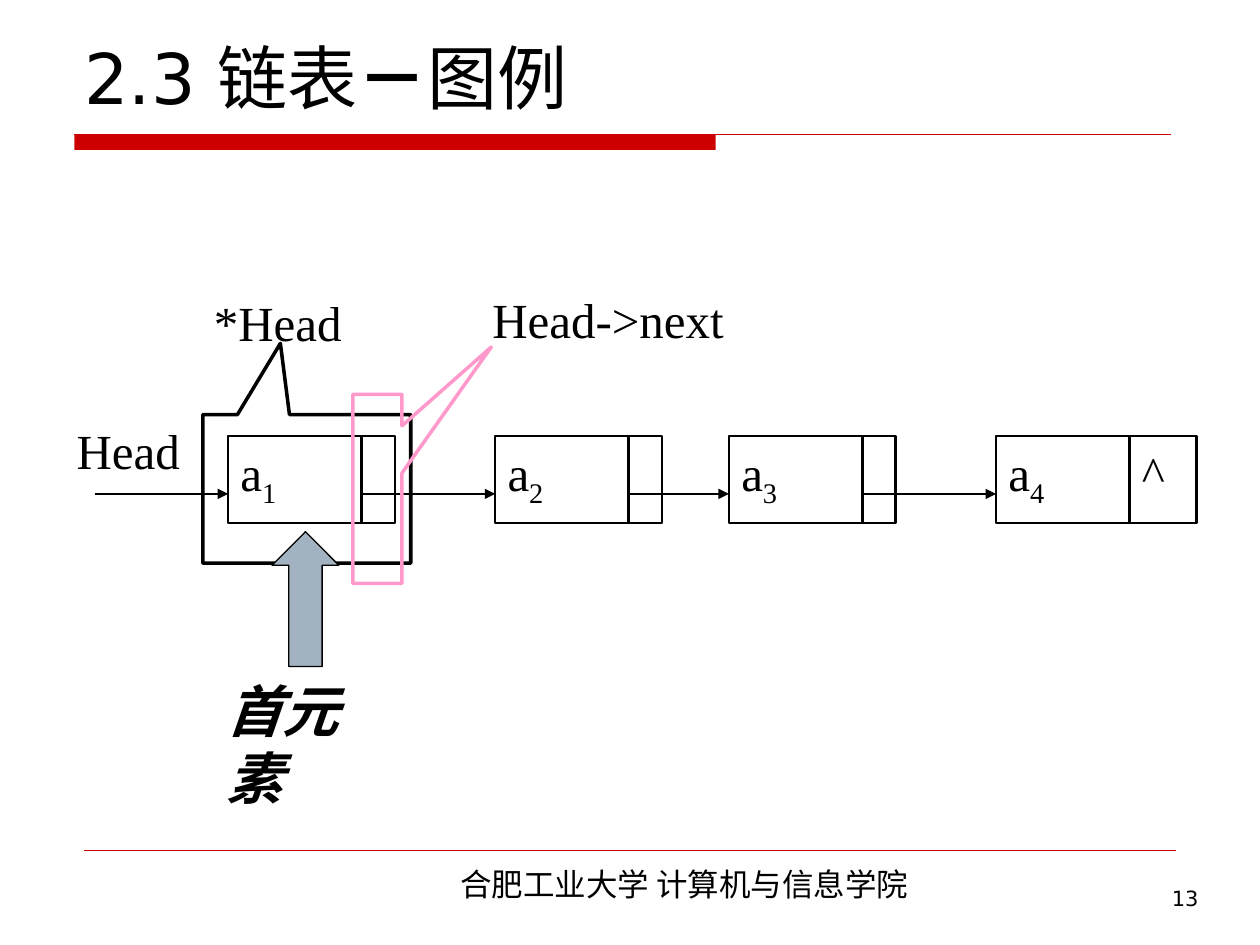
from lxml.etree import SubElement
from pptx import Presentation
from pptx.dml.color import RGBColor
from pptx.enum.shapes import MSO_CONNECTOR, MSO_SHAPE
from pptx.enum.text import MSO_ANCHOR, MSO_AUTO_SIZE, PP_ALIGN
from pptx.oxml.ns import qn
from pptx.util import Inches, Pt

THEME = dict(
    ink=RGBColor.from_string("000000"), red=RGBColor.from_string("CC0000"),
    pink=RGBColor.from_string("FF99CC"), steel=RGBColor.from_string("A3B2C1"),
    sans="DejaVu Sans", serif="Times New Roman", han="Noto Sans CJK SC",
    title=40, label=28, strong=32, foot=18, page=12)

deck = Presentation()
deck.slide_width, deck.slide_height = Inches(10), Inches(7.5)
slide = deck.slides.add_slide(deck.slide_layouts[5])
parts = slide.shapes


def write(para, text, size, face, **form):
    run = para.add_run()
    run.text = text
    base = dict(size=Pt(THEME[size]), name=THEME[face], bold=False)
    for key, value in (base | form).items():
        setattr(run.font, key, value)
    run.font.color.rgb = THEME["ink"]
    SubElement(run.font._element, qn("a:ea"), typeface=THEME["han"])
    return run


def draw(kind, box, line=None, width=1.5, fill=None, tail=False):
    """Draw a preset shape, or a straight line when kind is None."""
    box = [Inches(v) for v in box]
    if kind is None:
        item = parts.add_connector(MSO_CONNECTOR.STRAIGHT, *box)
        SubElement(item._element.spPr, qn("a:effectLst"))
    else:
        item = parts.add_shape(kind, *box)
        item.shadow.inherit = False
        if fill:
            item.fill.solid()
            item.fill.fore_color.rgb = THEME[fill]
        else:
            item.fill.background()
    if line:
        item.line.color.rgb = THEME[line]
        item.line.width = Pt(width)
    else:
        item.line.fill.background()
    if tail:
        SubElement(item.line._get_or_add_ln(), qn("a:tailEnd"), type="triangle")
    return item


# Title and red rules
head = parts.title
head.left, head.top, head.width, head.height = map(Inches, (0.57, 0.21, 9, 0.78))
frame = head.text_frame
for key, value in dict(vertical_anchor=MSO_ANCHOR.BOTTOM, word_wrap=True,
                       auto_size=MSO_AUTO_SIZE.NONE).items():
    setattr(frame, key, value)
frame.paragraphs[0].alignment = PP_ALIGN.LEFT
for text, bold in (("2.3 链表", False), ("－", True), ("图例", False)):
    write(frame.paragraphs[0], text, "title", "sans", bold=bold)
draw(MSO_SHAPE.RECTANGLE, (0.59, 1.07, 5.09, 0.12), fill="red")
draw(None, (0.59, 1.07, 9.29, 1.07), "red", 0.75)
draw(None, (0.67, 6.75, 9.33, 6.75), "red", 0.25)

# List nodes on a column grid: four columns of data, then the link field
left, top, col, tall = 1.81, 3.46, 0.265, 0.69
nodes = [(0, 5), (8, 5), (15, 5), (23, 6)]
mid = top + tall * 2 / 3
start = left - 4 * col
for num, (spot, span) in enumerate(nodes, 1):
    x = left + spot * col
    split = x + 4 * col
    node = draw(MSO_SHAPE.RECTANGLE, (x, top, span * col, tall), "ink")
    node.text_frame.vertical_anchor = MSO_ANCHOR.TOP
    para = node.text_frame.paragraphs[0]
    para.alignment = PP_ALIGN.LEFT
    last = num == len(nodes)
    if last:
        tabs = SubElement(para._p.get_or_add_pPr(), qn("a:tabLst"))
        SubElement(tabs, qn("a:tab"), pos=str(Inches(4 * col)), algn="l")
    write(para, "a", "label", "serif")
    sub = write(para, str(num), "label", "serif")
    sub.font._element.set("baseline", "-25000")
    if last:
        write(para, "\t^", "label", "serif")
    draw(None, (start, mid, x, mid), "ink", tail=True)
    draw(None, (split, top, split, top + tall), "ink")
    start = split

# Callouts and the arrow to the first element
marks = [
    (MSO_SHAPE.RECTANGULAR_CALLOUT, (1.61, 3.29, 1.65, 1.18), (-0.127, -0.979),
     dict(line="ink", width=2)),
    (MSO_SHAPE.RECTANGULAR_CALLOUT, (2.8, 3.13, 0.39, 1.5), (2.319, -0.751),
     dict(line="pink", width=2)),
    (MSO_SHAPE.UP_ARROW, (2.16, 4.22, 0.53, 1.07), (0.5, 0.503),
     dict(line="ink", width=0.75, fill="steel"))]
for kind, box, bends, look in marks:
    mark = draw(kind, box, **look)
    for i, bend in enumerate(bends):
        mark.adjustments[i] = bend

# Labels, footer and page number
LEFT, MID, RIGHT = PP_ALIGN.LEFT, PP_ALIGN.CENTER, PP_ALIGN.RIGHT
notes = [
    ("Head", (0.51, 3.29, 1.17, 0.57), "label", "serif", LEFT, {}),
    ("*Head", (1.6, 2.27, 1.36, 0.57), "label", "serif", LEFT, {}),
    ("Head->next", (3.81, 2.25, 2.33, 0.57), "label", "serif", LEFT, {}),
    ("首元素", (1.7, 5.32, 1.53, 0.64), "strong", "serif", LEFT,
     dict(bold=True, italic=True)),
    ("合肥工业大学 计算机与信息学院", (2.4, 6.82, 6.06, 0.4), "foot", "han", MID, {}),
    ("13", (7.44, 6.98, 2.17, 0.52), "page", "sans", RIGHT, {})]
for text, box, size, face, align, form in notes:
    frame = parts.add_textbox(*map(Inches, box)).text_frame
    frame.word_wrap = align != LEFT
    frame.paragraphs[0].alignment = align
    write(frame.paragraphs[0], text, size, face, **form)

deck.save("out.pptx")
